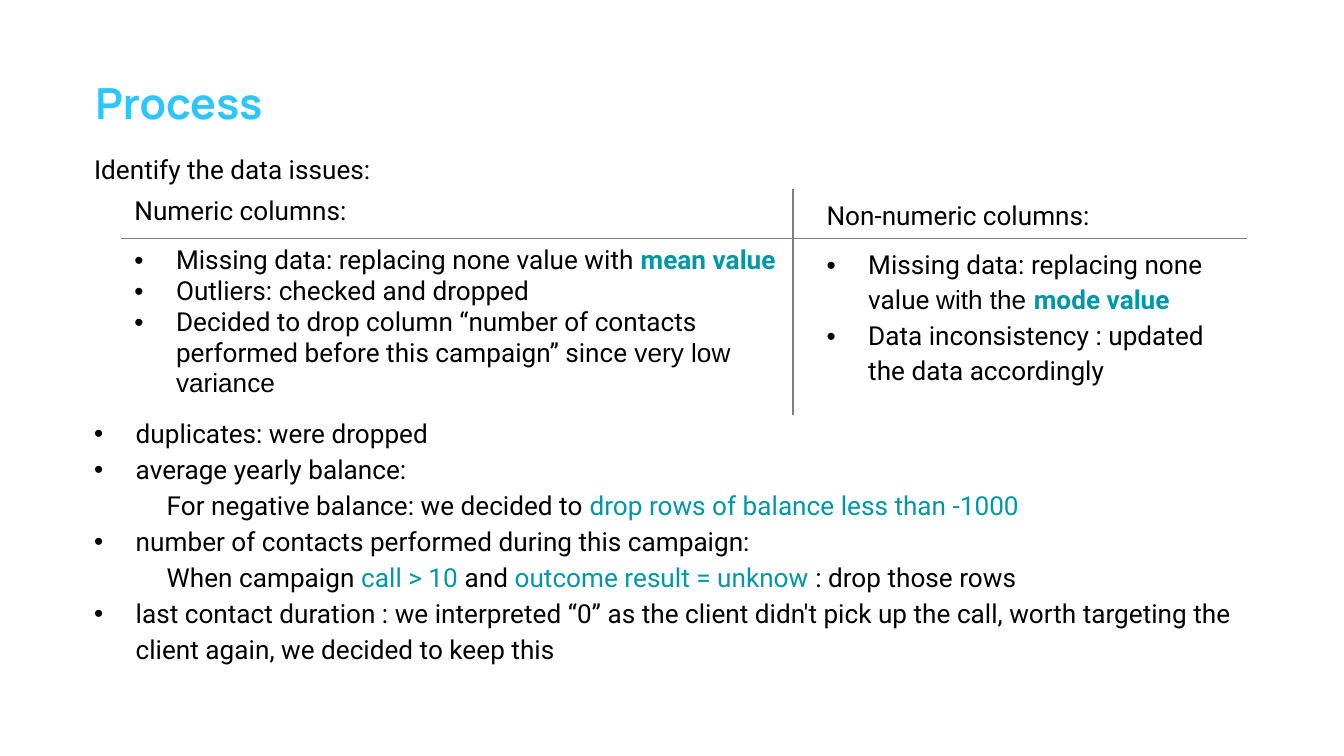
from lxml import etree
from pptx import Presentation
from pptx import util as u
from pptx.dml.color import RGBColor
from pptx.enum import text
from pptx.oxml.ns import qn

SKY = RGBColor(0x2D, 0xC5, 0xFA)
TEAL = RGBColor(0x00, 0x97, 0xA7)
BLACK = RGBColor(0, 0, 0)
GRAY = RGBColor(0x80, 0x80, 0x80)
BODY_FONT = "Roboto"
HANG = 0.31


def add_run(paragraph, content, color=BLACK, bold=False, font=BODY_FONT, size=14):
    run = paragraph.add_run()
    run.text = content
    run.font.name = font
    run.font.size = u.Pt(size)
    run.font.bold = bold
    run.font.color.rgb = color


def format_paragraph(paragraph, left=0, bullet=False, spacing=1.0, before=0):
    paragraph.alignment = text.PP_ALIGN.LEFT
    paragraph.line_spacing = spacing
    paragraph.space_before = u.Pt(before)
    paragraph.space_after = u.Pt(0)
    properties = paragraph._p.get_or_add_pPr()
    properties.set("marL", str(u.Inches(left)))
    properties.set("indent", str(u.Inches(-HANG if bullet else 0)))
    if bullet:
        color = etree.SubElement(properties, qn("a:buClr"))
        etree.SubElement(color, qn("a:srgbClr"), val=str(BLACK))
        etree.SubElement(properties, qn("a:buFont"), typeface="Arial")
        etree.SubElement(properties, qn("a:buChar"), char="•")
    else:
        etree.SubElement(properties, qn("a:buNone"))


def fill_frame(frame, paragraphs):
    for index, (layout, runs) in enumerate(paragraphs):
        paragraph = frame.paragraphs[0] if index == 0 else frame.add_paragraph()
        format_paragraph(paragraph, **layout)
        for content, *style in runs:
            add_run(paragraph, content, *style)


def place_frame(shape, left, top, width, height):
    shape.left, shape.top = u.Inches(left), u.Inches(top)
    shape.width, shape.height = u.Inches(width), u.Inches(height)
    frame = shape.text_frame
    frame.word_wrap = True
    frame.auto_size = text.MSO_AUTO_SIZE.NONE
    frame.vertical_anchor = text.MSO_ANCHOR.TOP
    frame.margin_left = frame.margin_right = u.Inches(0.1)
    frame.margin_top = frame.margin_bottom = u.Inches(0.1)
    return frame


def build_title(slide, left, top, width, height):
    frame = place_frame(slide.shapes.title, left, top, width, height)
    fill_frame(frame, [({}, [("Process", SKY, True, "Manrope", 23)])])


def build_issue_list(slide, left, top, width, height):
    frame = place_frame(slide.placeholders[1], left, top, width, height)
    plain = dict(left=0.15, spacing=1.15)
    bullet = dict(left=0.46, bullet=True, spacing=1.15)
    detail = dict(left=0.69, spacing=1.15)
    fill_frame(frame, [
        (plain, [("Identify the data issues:",)]),
        (dict(bullet, before=122), [("duplicates: were dropped",)]),
        (bullet, [("average yearly balance:",)]),
        (detail, [("For negative balance: we decided to ",),
                  ("drop rows of balance less than -1000", TEAL)]),
        (bullet, [("number of contacts performed during this campaign:",)]),
        (detail, [("When campaign ",), ("call > 10 ", TEAL), ("and ",),
                  ("outcome result = unknow ", TEAL), (": drop those rows",)]),
        (bullet, [("last contact duration : we interpreted “0” as the client didn't "
                   "pick up the call, worth targeting the client again, "
                   "we decided to keep this",)]),
    ])


def set_borders(cell, visible):
    properties = cell._tc.get_or_add_tcPr()
    for index, side in enumerate("LRTB"):
        line = etree.Element(qn(f"a:ln{side}"), w=str(u.Pt(1)))
        if side in visible:
            fill = etree.SubElement(line, qn("a:solidFill"))
            etree.SubElement(fill, qn("a:srgbClr"), val=str(GRAY))
        else:
            etree.SubElement(line, qn("a:noFill"))
        properties.insert(index, line)


def build_column_table(slide, left, top, width, height):
    table = slide.shapes.add_table(
        2, 2, u.Inches(left), u.Inches(top), u.Inches(width), u.Inches(height)).table
    table.first_row = table.horz_banding = False
    first_width, header_height = 5, 0.36
    table.columns[0].width = u.Inches(first_width)
    table.columns[1].width = u.Inches(width - first_width)
    table.rows[0].height = u.Inches(header_height)
    table.rows[1].height = u.Inches(height - header_height)

    numeric = dict(left=HANG, bullet=True)
    other = dict(left=0.46, bullet=True, spacing=1.15)
    cells = [
        [("RB", [({}, [("Numeric columns:",)])]),
         ("LB", [(dict(left=0.15, spacing=1.15), [("Non-numeric columns:",)])])],
        [("RT", [
            (numeric, [("Missing data: replacing none value with ",),
                       ("mean value", TEAL, True)]),
            (numeric, [("Outliers: checked and dropped",)]),
            (numeric, [("Decided to drop column “number of contacts performed "
                        "before this campaign” since ",),
                       ("very low variance", BLACK, False, "Arial")])]),
         ("LT", [
             (other, [("Missing data: replacing none value ",),
                      ("with the ", BLACK, False, "Arial"),
                      ("mode value", TEAL, True)]),
             (other, [("Data inconsistency : updated the data accordingly",)])])],
    ]
    for row, contents in enumerate(cells):
        for column, (borders, paragraphs) in enumerate(contents):
            cell = table.cell(row, column)
            cell.fill.background()
            set_borders(cell, borders)
            fill_frame(cell.text_frame, paragraphs)


def main():
    presentation = Presentation()
    presentation.slide_width = u.Inches(10)
    presentation.slide_height = presentation.slide_width * 9 // 16
    slide = presentation.slides.add_slide(presentation.slide_layouts[1])
    build_title(slide, 0.61, 0.47, 8.13, 0.54)
    build_issue_list(slide, 0.45, 1.01, 8.82, 4.12)
    build_column_table(slide, 0.9, 1.41, 8.38, 1.67)
    presentation.save("out.pptx")


if __name__ == "__main__":
    main()
